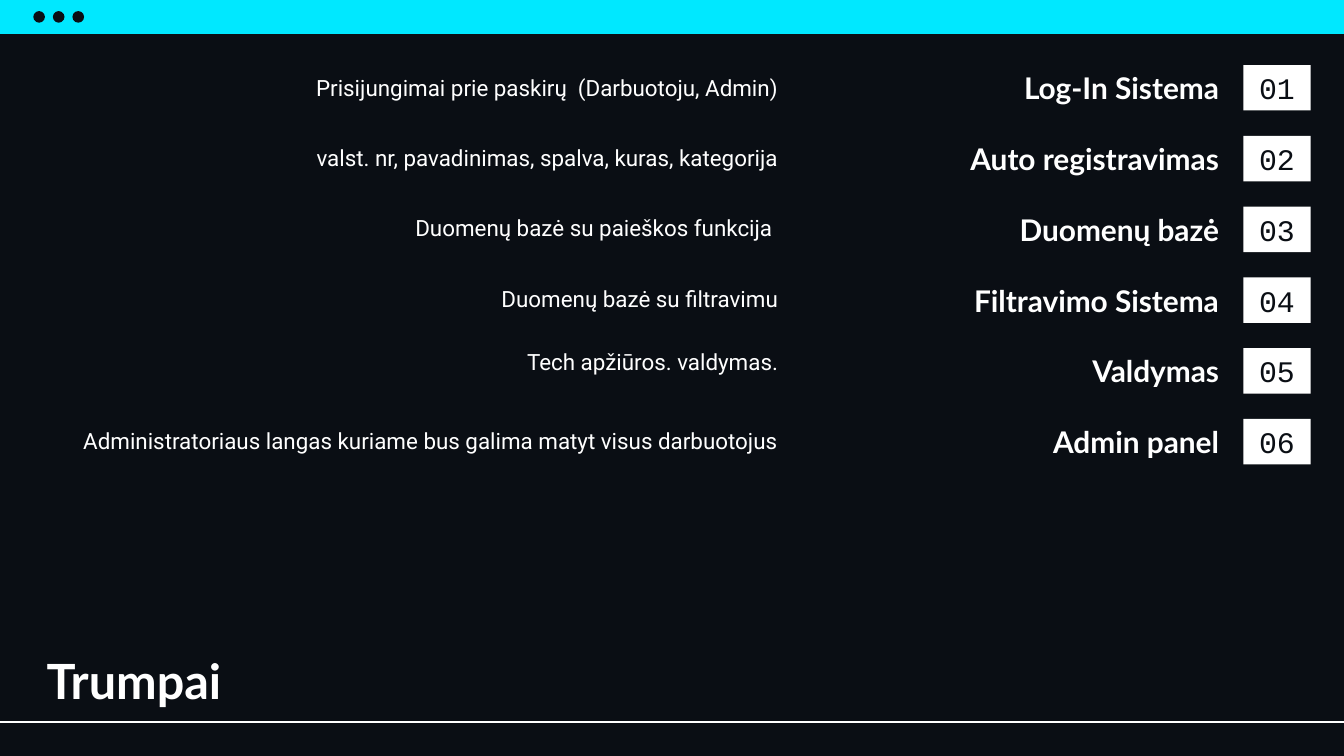
from pptx import Presentation
from pptx.dml.color import RGBColor
from pptx.enum.shapes import MSO_CONNECTOR, MSO_SHAPE
from pptx.enum.text import MSO_ANCHOR, PP_ALIGN
from pptx.oxml.ns import qn
from pptx.util import Cm, Pt

RECT, OVAL = MSO_SHAPE.RECTANGLE, MSO_SHAPE.OVAL
LINE = MSO_CONNECTOR.STRAIGHT
TOP, MIDDLE = MSO_ANCHOR.TOP, MSO_ANCHOR.MIDDLE
LEFT, CENTER, RIGHT = PP_ALIGN.LEFT, PP_ALIGN.CENTER, PP_ALIGN.RIGHT

COLORS = {"dark": "0A0E14", "cyan": "00E8FF", "white": "FFFFFF"}
WIDTH, HEIGHT = 25.4, 14.29

# name, name width, detail, detail width, detail lift (cm)
ITEMS = [
    ("Log-In Sistema", 6.1,
     "Prisijungimai prie paskirų  (Darbuotoju, Admin)", 9.83, 0),
    ("Auto registravimas", 8.86,
     "valst. nr, pavadinimas, spalva, kuras, kategorija", 11.28, 0.02),
    ("Duomenų bazė", 6.1, "Duomenų bazė su paieškos funkcija ", 9.45, 0.03),
    ("Filtravimo Sistema", 6.1, "Duomenų bazė su filtravimu", 7.29, 0.03),
    ("Valdymas", 6.1, "Tech apžiūros. valdymas.", 7.29, 0.18),
    ("Admin panel", 6.1,
     "Administratoriaus langas kuriame bus galima matyt visus darbuotojus",
     14.33, 0.03),
]


def color(name):
    return RGBColor.from_string(COLORS[name])


def place(box):
    return [Cm(side) for side in box]


def add_text(shape, text, font="Lato", size=16, bold=False, ink="white",
             align=RIGHT, anchor=MIDDLE):
    frame = shape.text_frame
    frame.word_wrap = True
    frame.vertical_anchor = anchor
    frame.margin_left = frame.margin_right = Cm(0.25)
    frame.margin_top = frame.margin_bottom = Cm(0.25)
    para = frame.paragraphs[0]
    para.alignment = align
    run = para.add_run()
    run.text = text
    run.font.name = font
    run.font.size = Pt(size)
    run.font.bold = bold
    run.font.color.rgb = color(ink)


def add_label(slide, box, text, **style):
    add_text(slide.shapes.add_textbox(*place(box)), text, **style)


def add_solid(slide, kind, box, fill):
    shape = slide.shapes.add_shape(kind, *place(box))
    shape.shadow.inherit = False
    shape.fill.solid()
    shape.fill.fore_color.rgb = color(fill)
    shape.line.fill.background()
    return shape


def add_bar(slide, left, top, width, height):
    """Window bar with three dots, centred on its height."""
    add_solid(slide, RECT, (left, top, width, height), "cyan")
    dot, step = 0.22, 0.37
    for i in range(3):
        box = (left + 0.63 + i * step, top + (height - dot) / 2, dot, dot)
        add_solid(slide, OVAL, box, "dark")


def add_list(slide, left, top, width, height):
    """Numbered rows whose columns are aligned to the right."""
    row, badge = 0.86, 1.27
    step = (height - row) / (len(ITEMS) - 1)
    edge = left + width - badge
    name_end, detail_end = edge - 0.21, edge - 8.54
    for i, (name, name_w, detail, detail_w, lift) in enumerate(ITEMS):
        y = top + i * step
        add_label(slide, (detail_end - detail_w, y - lift, detail_w, row),
                  detail, font="Roboto", size=12)
        add_label(slide, (name_end - name_w, y, name_w, row), name, bold=True)
        number = add_solid(slide, RECT, (edge, y, badge, row), "white")
        add_text(number, f"{i + 1:02}", font="Courier New", ink="dark",
                 align=CENTER)


def add_footer(slide, left, top, width, height):
    """Slide title above a rule across the whole slide."""
    add_label(slide, (left, top, width, height), "Trumpai", size=26,
              bold=True, align=LEFT, anchor=TOP)
    base = top + height
    rule = slide.shapes.add_connector(LINE, *place((0, base, WIDTH, base)))
    rule.line.color.rgb = color("white")
    rule.line.width = Pt(0.75)
    props = rule.element.spPr
    props.append(props.makeelement(qn("a:effectLst"), {}))


def main():
    deck = Presentation()
    deck.slide_width, deck.slide_height = Cm(WIDTH), Cm(HEIGHT)
    slide = deck.slides.add_slide(deck.slide_layouts[6])
    slide.background.fill.solid()
    slide.background.fill.fore_color.rgb = color("dark")
    add_bar(slide, 0, 0, WIDTH, 0.64)
    add_list(slide, 0.63, 1.23, 24.14, 7.55)
    add_footer(slide, 0.63, 12.06, 24.14, 1.59)
    deck.save("out.pptx")


if __name__ == "__main__":
    main()
